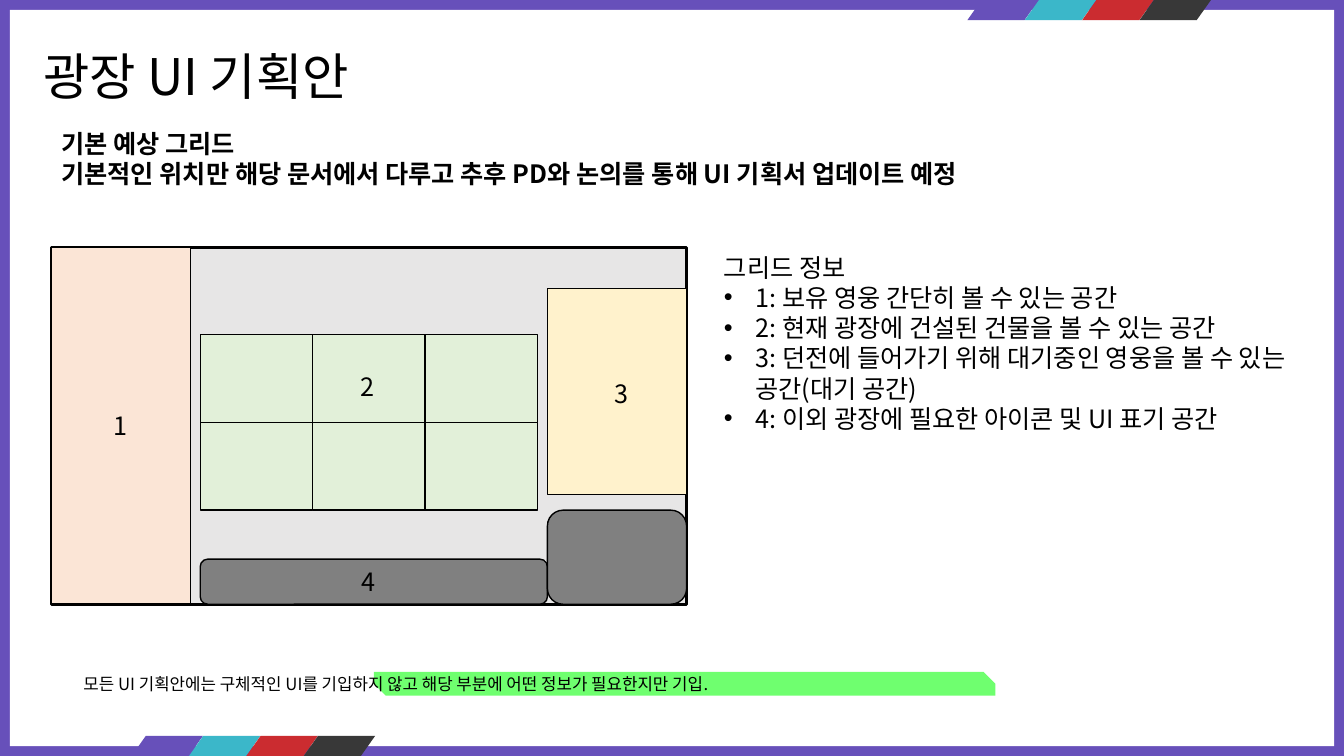
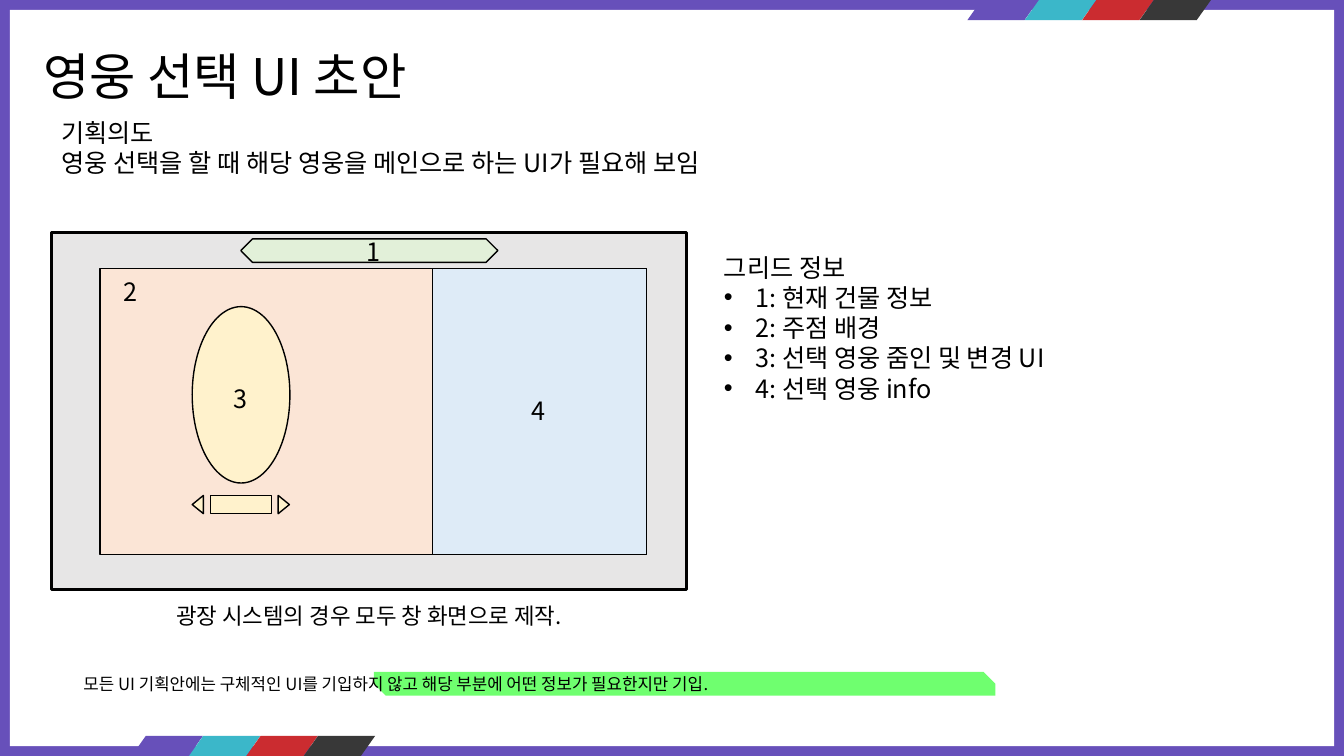
from lxml.etree import SubElement
from pptx import Presentation
from pptx.dml.color import RGBColor as RGB
from pptx.enum.shapes import MSO_SHAPE as Kind
from pptx.enum.text import PP_ALIGN as Align
from pptx.oxml.ns import qn
from pptx.util import Pt

BLACK = RGB(0x00, 0x00, 0x00)
WHITE = RGB(0xFF, 0xFF, 0xFF)
PURPLE = RGB(0x67, 0x50, 0xBA)
TEAL = RGB(0x3B, 0xB7, 0xC9)
RED = RGB(0xCB, 0x2C, 0x30)
COAL = RGB(0x38, 0x38, 0x38)
LIME = RGB(0x33, 0xFF, 0x33)
SILVER = RGB(0xE7, 0xE6, 0xE6)
GRAY = RGB(0x80, 0x80, 0x80)
PEACH = RGB(0xFB, 0xE5, 0xD6)
GREEN = RGB(0xE2, 0xF0, 0xD9)
CREAM = RGB(0xFF, 0xF2, 0xCC)
BLUE = RGB(0xDE, 0xEB, 0xF7)
FONT = "Noto Sans CJK KR"
NOTE = "모든 UI 기획안에는 구체적인 UI를 기입하지 않고 해당 부분에 어떤 정보가 필요한지만 기입."


class Deck:
    """Holds the deck style and the current slide."""

    def __init__(self):
        self.prs = Presentation()
        self.prs.slide_width, self.prs.slide_height = Pt(960), Pt(540)
        self.slide = None

    def page(self, title):
        self.slide = self.prs.slides.add_slide(self.prs.slide_layouts[6])
        back = self.slide.background.fill
        back.solid()
        back.fore_color.rgb = PURPLE
        self.shape(7, 7, 946, 526, WHITE, line=0)
        for left, top in ((691, 0), (94, 525.6)):
            for i, color in enumerate((PURPLE, TEAL, RED, COAL)):
                self.shape(left + 41 * i, top, 51, 14.4, color, Kind.FLOWCHART_DATA, 0)
        self.text(24, 29, 463, [title], 36)

    def shape(self, x, y, w, h, color, kind=Kind.RECTANGLE, line=1, adj=(), turn=0):
        shape = self.slide.shapes.add_shape(kind, Pt(x), Pt(y), Pt(w), Pt(h))
        shape.shadow.inherit = False
        shape.rotation = turn
        shape.fill.solid()
        shape.fill.fore_color.rgb = color
        for i, value in enumerate(adj):
            shape.adjustments[i] = value
        if line:
            shape.line.color.rgb = BLACK
            shape.line.width = Pt(line)
        else:
            shape.line.fill.background()
        return shape

    def text(self, x, y, w, lines, size=18, bold=False, align=Align.LEFT):
        box = self.slide.shapes.add_textbox(Pt(x), Pt(y), Pt(w), Pt(size * 1.2 * len(lines) + 7.2))
        frame = box.text_frame
        frame.word_wrap = True
        frame.text = "\n".join(lines)
        for para in frame.paragraphs:
            para.alignment = align
            for run in para.runs:
                run.font.size = Pt(size)
                run.font.bold = bold
                run.font.color.rgb = BLACK
                run.font.name = FONT
                SubElement(run._r.get_or_add_rPr(), qn("a:ea"), typeface=FONT)
        return frame

    def info(self, items):
        frame = self.text(510, 176.4, 418, ["그리드 정보", *items])
        for para in frame.paragraphs[1:]:
            props = para._p.get_or_add_pPr()
            props.set("marL", str(Pt(22.5)))
            props.set("indent", str(Pt(-22.5)))
            SubElement(props, qn("a:buFont"), typeface="Arial")
            SubElement(props, qn("a:buChar"), char="•")

    def label(self, text, x, y):
        self.text(x - 36, y, 72, [text], align=Align.CENTER)

    def note(self):
        mark = self.shape(267, 480, 444, 16.8, LIME, Kind.SNIP_2_DIAG_RECTANGLE, 0, (0, 0.5))
        tint = mark._element.spPr.find(qn("a:solidFill"))[0]
        SubElement(tint, qn("a:alpha"), val="70000")
        self.text(52.5, 477.4, 875, [NOTE], 12)

    def plaza(self):
        self.page("광장 UI 기획안")
        self.note()
        self.text(36.7, 87.8, 878, [
            "기본 예상 그리드",
            "기본적인 위치만 해당 문서에서 다루고 추후 PD와 논의를 통해 UI 기획서 업데이트 예정",
        ], bold=True)
        self.shape(36.7, 176.6, 453.6, 255, SILVER, line=2.25)
        self.shape(36.7, 177, 99.4, 254.4, PEACH)
        for row in range(2):
            for col in range(3):
                self.shape(143 + 80.3 * col, 239 + 62.7 * row, 80.3, 62.7, GREEN)
        self.shape(391, 206, 99.4, 147.2, CREAM)
        self.shape(143, 399.4, 248, 32.2, GRAY, Kind.ROUNDED_RECTANGLE)
        self.shape(391, 364.4, 99.4, 67.2, GRAY, Kind.ROUNDED_RECTANGLE)
        self.info([
            "1: 보유 영웅 간단히 볼 수 있는 공간",
            "2: 현재 광장에 건설된 건물을 볼 수 있는 공간",
            "3: 던전에 들어가기 위해 대기중인 영웅을 볼 수 있는 공간(대기 공간)",
            "4: 이외 광장에 필요한 아이콘 및 UI 표기 공간",
        ])
        self.label("1", 86.4, 289.4)
        self.label("2", 262.8, 261.4)
        self.label("3", 444, 266.4)
        self.label("4", 263, 401)

    def hero(self):
        self.page("영웅 선택 UI 초안")
        self.text(36.7, 80, 878, ["기획의도", "영웅 선택을 할 때 해당 영웅을 메인으로 하는 UI가 필요해 보임"])
        self.shape(36.7, 166.4, 453.6, 255, SILVER, line=2.25)
        self.shape(71.4, 192, 390.6, 204, PEACH)
        self.note()
        self.shape(172, 170.6, 183.6, 16.8, GREEN, Kind.SNIP_2_DIAG_RECTANGLE, adj=(0.5, 0.5))
        self.label("1", 267, 165)
        self.label("2", 93, 193.7)
        self.info([
            "1: 현재 건물 정보",
            "2: 주점 배경",
            "3: 선택 영웅 줌인 및 변경 UI",
            "4: 선택 영웅 info",
        ])
        self.text(54.7, 426.2, 418, ["광장 시스템의 경우 모두 창 화면으로 제작."], 16, align=Align.CENTER)
        self.shape(137.3, 219, 69.8, 126, CREAM, Kind.OVAL)
        for x, turn in ((134.8, 270), (196.2, 90)):
            self.shape(x, 356.4, 13, 8, CREAM, Kind.ISOSCELES_TRIANGLE, turn=turn)
        self.shape(150.2, 354, 44, 13, CREAM)
        self.shape(309, 192, 153, 204, BLUE)
        self.label("4", 385, 278.6)
        self.label("3", 172, 270.4)


def main():
    deck = Deck()
    deck.plaza()
    deck.hero()
    deck.prs.save("out.pptx")


if __name__ == "__main__":
    main()
